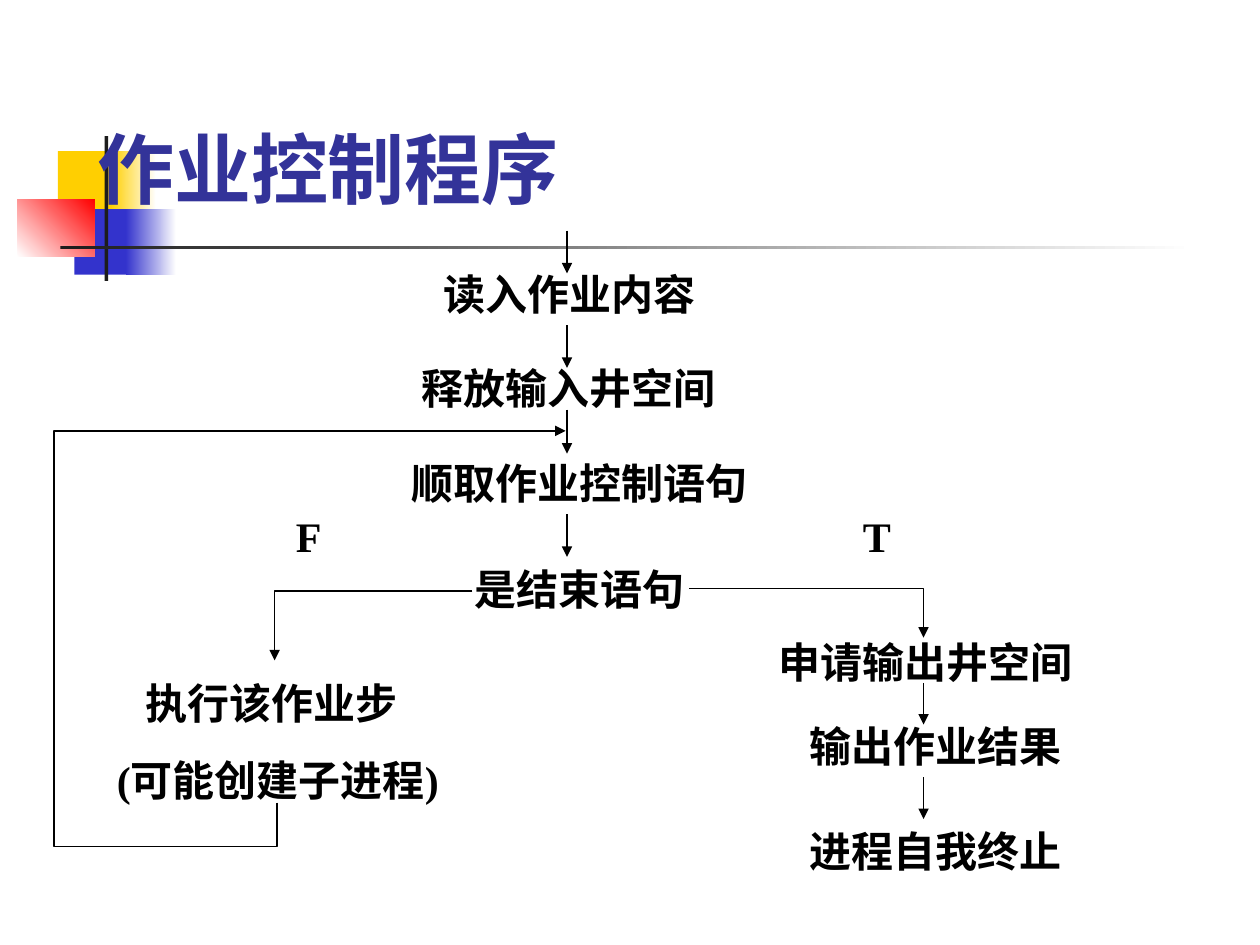
from lxml import etree
from pptx import Presentation
from pptx.dml.color import RGBColor
from pptx.enum import shapes, text
from pptx.oxml import ns
from pptx.util import Inches, Pt

BLACK = "000000"


def paint(hue):
    return RGBColor.from_string(hue)


def arrow(line):
    """Give a line or open path a thin black stroke, an end arrow and no shadow."""
    line.line.color.rgb = paint(BLACK)
    line.line.width = Pt(0.75)
    props = line._element.spPr
    etree.SubElement(props.find(ns.qn("a:ln")), ns.qn("a:tailEnd"), type="triangle")
    etree.SubElement(props, ns.qn("a:effectLst"))


deck = Presentation()
deck.slide_width, deck.slide_height = Inches(10), Inches(7.5)
slide = deck.slides.add_slide(deck.slide_layouts[5])
items = slide.shapes

# Corner ornament: left, top, width, height, colours, gradient angle
blocks = [
    (0.46, 1.2, 0.48, 0.52, ["FFCF01"], 0),
    (0.88, 1.2, 0.36, 0.52, ["FFCF01", "FFFFFF"], 0),
    (0.59, 1.66, 0.46, 0.52, ["3333CC"], 0),
    (1, 1.66, 0.4, 0.52, ["3333CC", "FFFFFF"], 0),
    (0.14, 1.58, 0.61, 0.46, ["FFFFFF", "FF0000"], 45),
    (0.83, 1.08, 0.03, 1.15, ["1C1C1C"], 0),
    (0.48, 1.95, 9, 0.03, ["1C1C1C", "FFFFFF"], 0),
]
for *place, hues, angle in blocks:
    block = items.add_shape(shapes.MSO_SHAPE.RECTANGLE, *map(Inches, place))
    block.shadow.inherit = False
    block.line.fill.background()
    if len(hues) == 1:
        block.fill.solid()
        block.fill.fore_color.rgb = paint(hues[0])
    else:
        block.fill.gradient()
        block.fill.gradient_angle = angle
        for stop, hue in zip(block.fill.gradient_stops, hues):
            stop.color.rgb = paint(hue)

# Title, brought in front of the ornament
title = items.title
title.left, title.top = Inches(0.67), Inches(0.5)
title.width, title.height = Inches(8.5), Inches(1.25)
items._spTree.append(title._element)
frame = title.text_frame
frame.text = "作业控制程序"
frame.auto_size = text.MSO_AUTO_SIZE.NONE
frame.vertical_anchor = text.MSO_ANCHOR.BOTTOM
head = frame.paragraphs[0]
head.alignment = text.PP_ALIGN.LEFT
head.font.name, head.font.size, head.font.bold = "Roboto", Pt(44), True
head.font.color.rgb = paint("333399")

# Steps and branch labels: left, top, width, lines
steps = [
    (3.42, 2.08, 2.25, ["读入作业内容"]),
    (3.25, 2.83, 2.58, ["释放输入井空间"]),
    (3.17, 3.58, 3, ["顺取作业控制语句"]),
    (3.67, 4.42, 2, ["是结束语句"]),
    (0.83, 5.33, 2.92, ["执行该作业步", "(可能创建子进程)"]),
    (6.08, 5, 2.58, ["申请输出井空间"]),
    (6.33, 5.67, 2.25, ["输出作业结果"]),
    (6.33, 6.5, 2.25, ["进程自我终止"]),
    (2.25, 4, 0.58, ["F"]),
    (6.75, 4, 0.58, ["T"]),
]
for left, top, width, lines in steps:
    high = 0.5 + 0.61 * (len(lines) - 1)
    box = items.add_textbox(*map(Inches, (left, top, width, high)))
    frame = box.text_frame
    frame.word_wrap = True
    frame.text = "\n".join(lines)
    for row, para in enumerate(frame.paragraphs):
        if row:
            para.space_before = Pt(15)
        elif len(lines) > 1:
            para._p.get_or_add_pPr().set("marL", str(Inches(0.23)))
        font = para.font
        font.name, font.size, font.bold = "Times New Roman", Pt(24), True
        font.color.rgb = paint(BLACK)

# Straight arrows: x, top, bottom
drops = [
    (4.5, 1.83, 2.17),
    (4.5, 2.58, 2.92),
    (4.5, 3.25, 3.6),
    (4.5, 4.08, 4.42),
    (7.33, 5.42, 5.75),
    (7.33, 6.17, 6.5),
]
for x, top, end in drops:
    ends = map(Inches, (x, top, x, end))
    arrow(items.add_connector(shapes.MSO_CONNECTOR.STRAIGHT, *ends))

# Bent arrows: false branch, loop back, true branch
bends = [
    [(3.75, 4.69), (2.18, 4.69), (2.18, 5.24)],
    [(2.2, 6.37), (2.2, 6.72), (0.43, 6.72), (0.43, 3.42), (4.49, 3.42)],
    [(5.47, 4.67), (7.33, 4.67), (7.33, 5.06)],
]
for bend in bends:
    start, *rest = [(Inches(x), Inches(y)) for x, y in bend]
    path = items.build_freeform(*start)
    path.add_line_segments(rest, close=False)
    route = path.convert_to_shape()
    route.fill.background()
    arrow(route)

deck.save("out.pptx")
